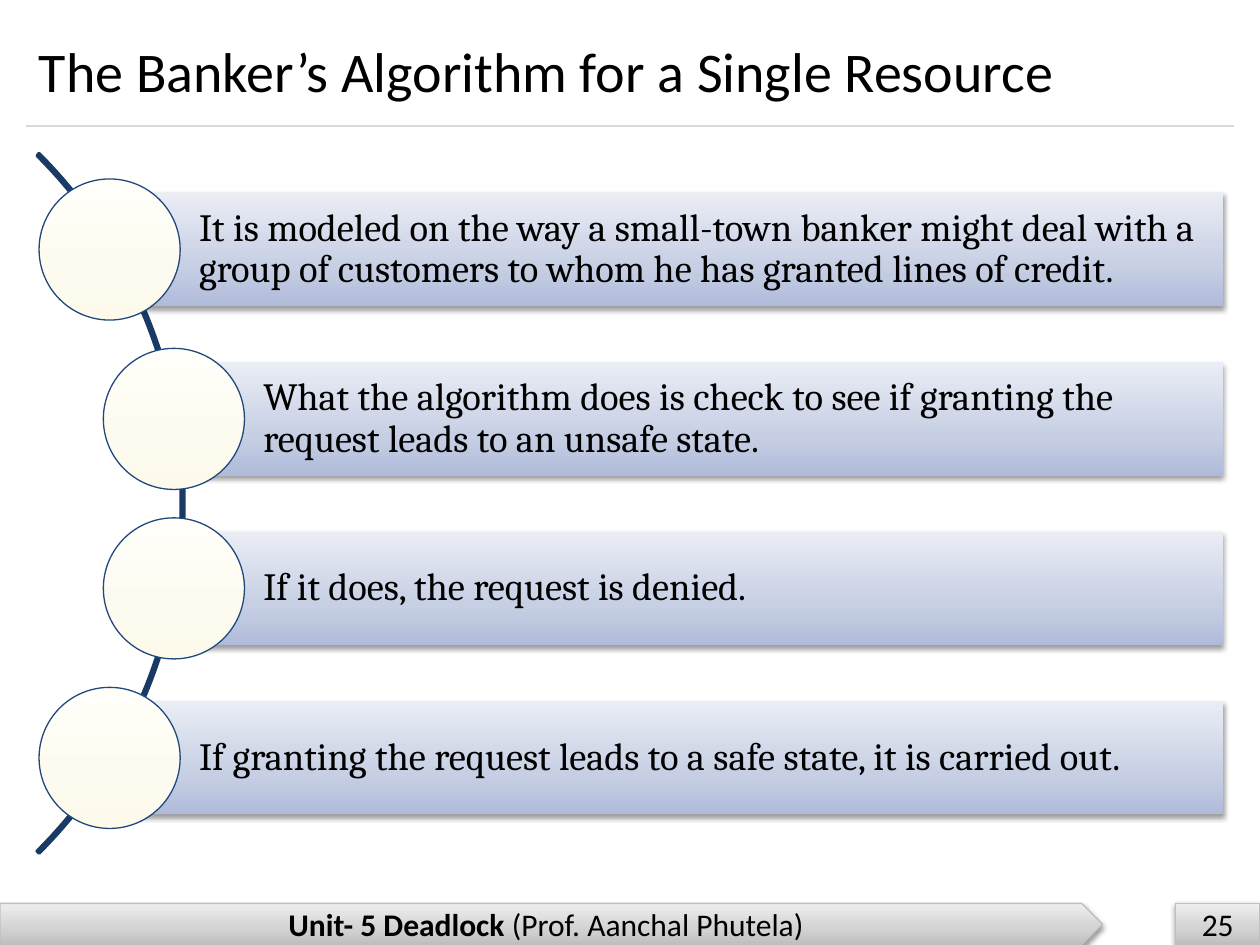
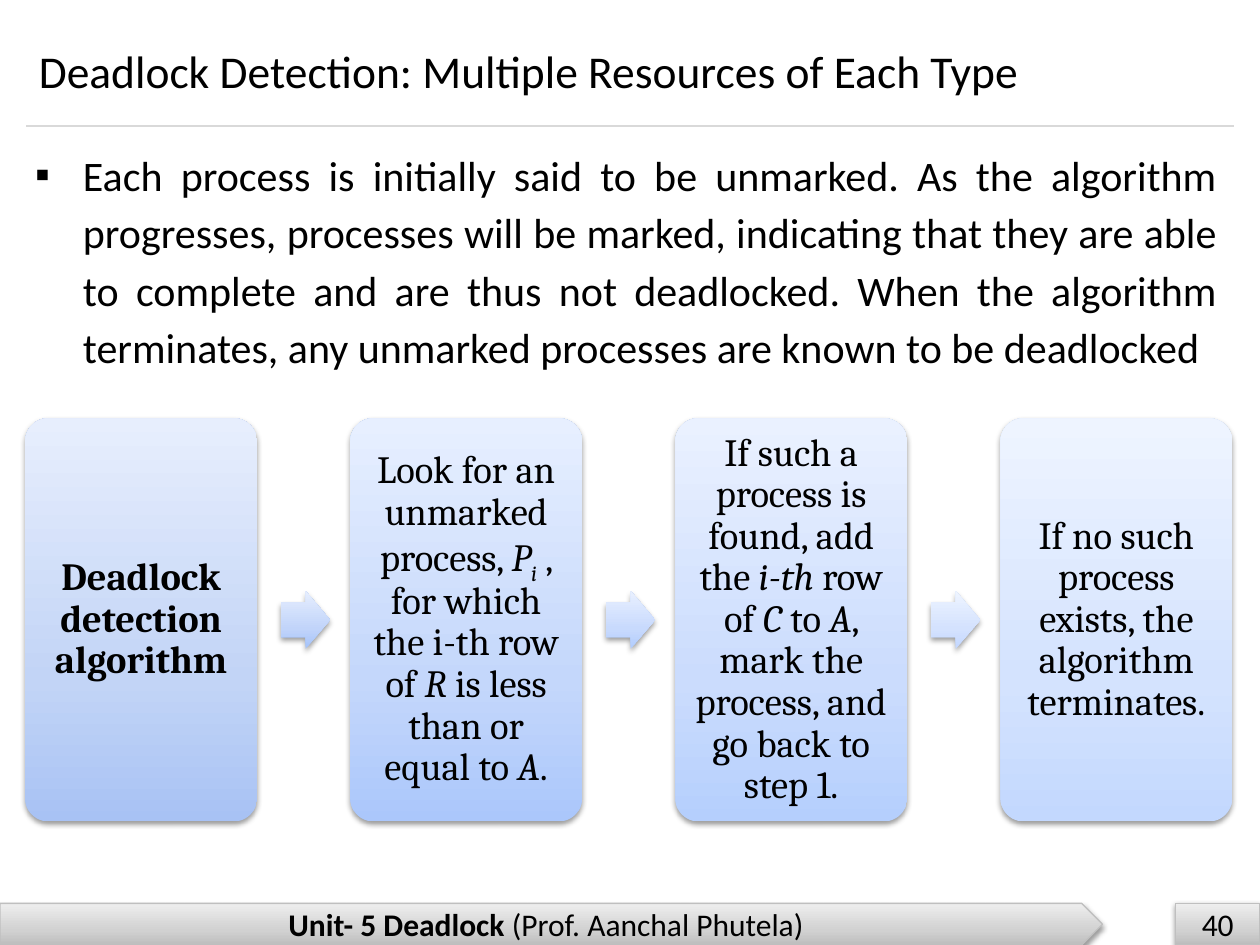
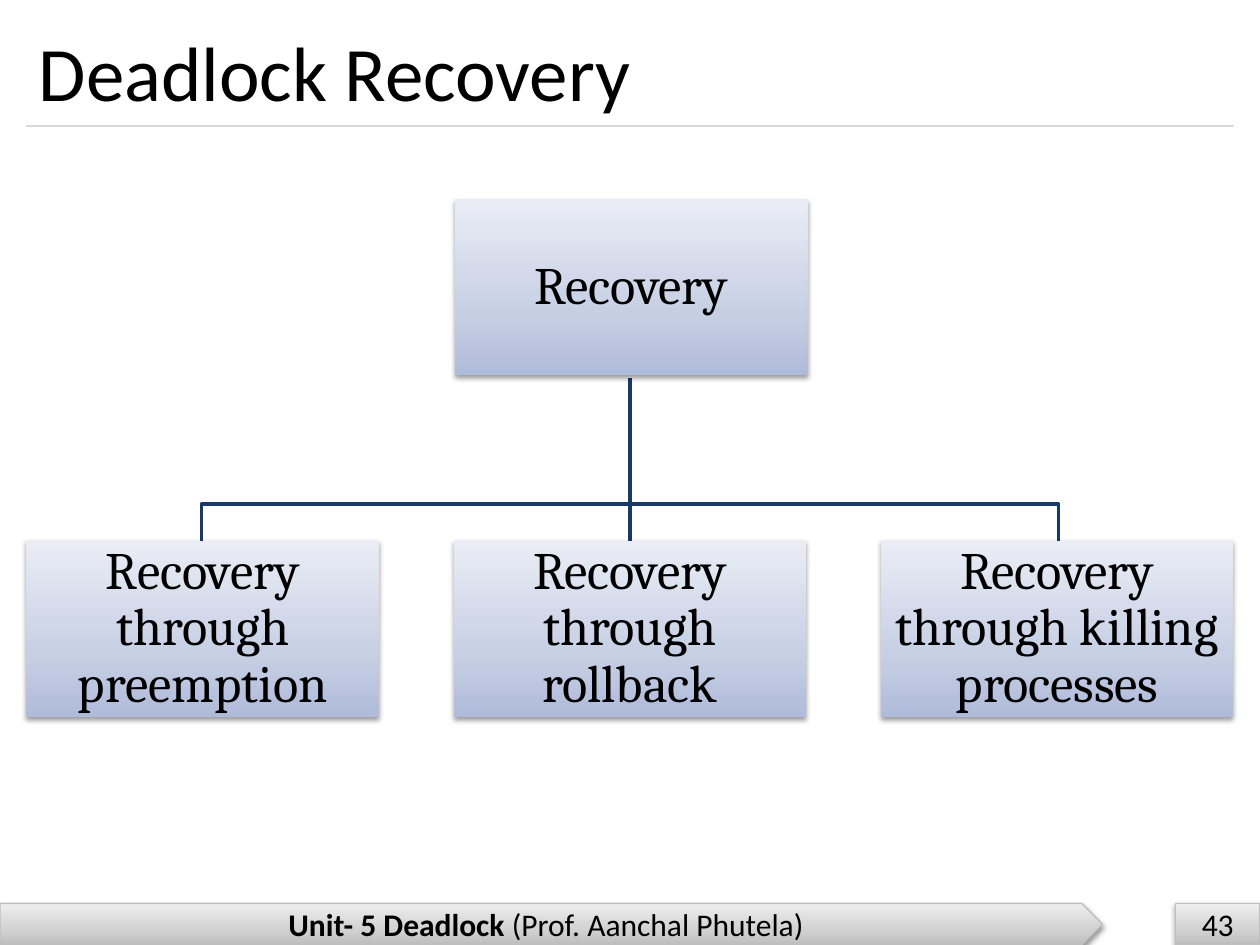
from lxml import etree
from pptx import Presentation, util as u
from pptx.dml.color import RGBColor
from pptx.enum import shapes, text
from pptx.oxml.ns import qn

# Grid of 100 columns by 75 rows; every length below counts cells
COLS, ROWS = 100, 75
CELL = u.Inches(0.1)
MARGIN = 2.1
CONTENT = COLS - 2 * MARGIN

COLOR = {"text": "000000", "rule": "D9D9D9", "band edge": "BFBFBF",
         "link": "193A64", "circle edge": "1F497D", "shadow": "000000"}
# Gradients run from the bottom (0 %) over 35 % to the top (100 %)
STOPS = (0, 35, 100)
GRADIENT = {"band": ("BDBDBD", "D1D1D1", "EEEEEE"),
            "panel": ("AFBBDA", "C7CFE4", "EAEDF5"),
            "circle": ("FDFAEB", "FDFBF0", "FFFEF9")}
KIND = shapes.MSO_SHAPE
ALIGN = text.PP_ALIGN


def draw(slide, kind, at, gradient=None, edge=None, width=0.75, shadow=True, adjust=()):
    shape = slide.shapes.add_shape(kind, *(round(n * CELL) for n in at))
    for i, value in enumerate(adjust):
        shape.adjustments[i] = value
    properties = shape._element.spPr
    if gradient:
        shape.fill.gradient()
        shape.fill.gradient_angle = 90
        stops = properties.find(".//" + qn("a:gsLst"))
        for stop in list(stops):
            stops.remove(stop)
        for position, tone in zip(STOPS, gradient):
            stop = etree.SubElement(stops, qn("a:gs"), pos=str(position * 1000))
            etree.SubElement(stop, qn("a:srgbClr"), val=tone)
    else:
        shape.fill.background()
    if edge:
        shape.line.color.rgb = RGBColor.from_string(COLOR[edge])
        shape.line.width = u.Pt(width)
    else:
        shape.line.fill.background()
    shape.shadow.inherit = False
    if shadow:
        outer = etree.SubElement(properties.find(qn("a:effectLst")), qn("a:outerShdw"),
                                 blurRad="40000", dist="20000", dir="5400000", rotWithShape="0")
        tone = etree.SubElement(outer, qn("a:srgbClr"), val=COLOR["shadow"])
        etree.SubElement(tone, qn("a:alpha"), val="38000")
    return shape


def write(shape, runs, size, font="Calibri", align=ALIGN.LEFT, spacing=None,
          insets=(1, 0.5, 1, 0.5), anchor=text.MSO_ANCHOR.MIDDLE, bullet=None, indent=3.8):
    """Runs are one string or (string, marks) pairs: b bold, i italic, s subscript."""
    frame = shape.text_frame
    frame.word_wrap = True
    frame.vertical_anchor = anchor
    (frame.margin_left, frame.margin_top,
     frame.margin_right, frame.margin_bottom) = (round(n * CELL) for n in insets)
    paragraph = frame.paragraphs[0]
    if bullet:
        layout = paragraph._p.get_or_add_pPr()
        layout.set("marL", str(round(indent * CELL)))
        layout.set("indent", str(-round(indent * CELL)))
        etree.SubElement(layout, qn("a:buFont"), typeface="Arial")
        etree.SubElement(layout, qn("a:buChar"), char=bullet)
    paragraph.alignment = align
    if spacing:
        paragraph.line_spacing = spacing
    for words, marks in ([(runs, "")] if isinstance(runs, str) else runs):
        run = paragraph.add_run()
        run.text = words
        run.font.name = font
        run.font.size = u.Pt(size)
        run.font.color.rgb = RGBColor.from_string(COLOR["text"])
        run.font.bold = "b" in marks
        run.font.italic = "i" in marks
        if "s" in marks:
            run.font._element.set("baseline", "-25000")


deck = Presentation()
deck.slide_width, deck.slide_height = COLS * CELL, ROWS * CELL

# What every slide shares: footer bands, rule and title
pages = []
for title, title_size, number in (
        ("The Banker’s Algorithm for a Single Resource", 32, 25),
        ("Deadlock Detection: Multiple Resources of Each Type", 26, 40),
        ("Deadlock Recovery", 44, 43)):
    page = deck.slides.add_slide(deck.slide_layouts[6])
    pages.append(page)
    footer = [("Unit- 5 Deadlock ", "b"), ("(Prof. Aanchal Phutela)", "")]
    for kind, left, width, label in ((KIND.PENTAGON, 0, 87.5, footer),
                                     (KIND.RECTANGLE, 93.3, 6.7, str(number))):
        band = draw(page, kind, (left, 71.7, width, 3.3), GRADIENT["band"], "band edge")
        write(band, label, 18, align=ALIGN.CENTER)
    rule = page.shapes.add_connector(
        shapes.MSO_CONNECTOR.STRAIGHT, round(MARGIN * CELL), 10 * CELL,
        round((COLS - MARGIN) * CELL), 10 * CELL)
    rule.line.color.rgb = RGBColor.from_string(COLOR["rule"])
    rule.line.width = u.Pt(0.75)
    etree.SubElement(rule._element.spPr, qn("a:effectLst"))
    heading = page.shapes.add_textbox(
        *(round(n * CELL) for n in (MARGIN, 1.2, CONTENT, 8.8)))
    write(heading, title, title_size)

banker, detection, recovery = pages

# Banker's algorithm: four bars with circles along an arc
draw(banker, KIND.BLOCK_ARC, (-63.9, 0.7, 78.5, 78.5), edge="link", width=2,
     shadow=False, adjust=(189, 27, 0.00275))
BAR_TOP, BAR_HEIGHT, BAR_RIGHT, BAR_PITCH, CIRCLE = 15.3, 9, 97.1, 13.45, 11.2
for row, (center, principle) in enumerate((
        (8.7, "It is modeled on the way a small-town banker might deal with a group of "
              "customers to whom he has granted lines of credit."),
        (13.8, "What the algorithm does is check to see if granting the request leads "
               "to an unsafe state."),
        (13.8, "If it does, the request is denied."),
        (8.7, "If granting the request leads to a safe state, it is carried out."))):
    top = BAR_TOP + row * BAR_PITCH
    bar = draw(banker, KIND.RECTANGLE, (center, top, BAR_RIGHT - center, BAR_HEIGHT),
               GRADIENT["panel"])
    write(bar, principle, 22, font="Cambria", spacing=0.9, insets=(7.1, 0.6, 0.6, 0.6))
    draw(banker, KIND.OVAL,
         (center - CIRCLE / 2, top + (BAR_HEIGHT - CIRCLE) / 2, CIRCLE, CIRCLE),
         GRADIENT["circle"], "circle edge", shadow=False)

# Detection: introduction above a row of steps
introduction = detection.shapes.add_textbox(
    *(round(n * CELL) for n in (1.8, 10.8, CONTENT, 58.3)))
write(introduction,
      "Each process is initially said to be unmarked. As the algorithm progresses, processes "
      "will be marked, indicating that they are able to complete and are thus not deadlocked. "
      "When the algorithm terminates, any unmarked processes are known to be deadlocked",
      24, align=ALIGN.JUSTIFY, spacing=1.14, anchor=text.MSO_ANCHOR.TOP, bullet="▪")

STEP_LEFT, STEP_TOP, STEP_WIDTH, STEP_HEIGHT, STEP_PITCH = 2, 33.2, 18.4, 32, 25.8
ARROW_WIDTH, ARROW_HEIGHT, ARROW_GAP = 3.9, 4.6, 1.9
steps = (
    (("A8C2F4", "C2D4F6", "E7EEFD"), [("Deadlock detection algorithm", "b")]),
    (("ABC7FB", "C4D7FB", "E7EFFF"),
     [("Look for an unmarked process, ", ""), ("P", "i"), ("i", "is"),
      (" , for which the i-th row of ", ""), ("R", "i"),
      (" is less than or equal to ", ""), ("A", "i"), (".", "")]),
    (("B5CFFD", "CBDCFD", "EAF1FF"),
     [("If such a process is found, add the ", ""), ("i-th", "i"), (" row of ", ""),
      ("C", "i"), (" to ", ""), ("A", "i"),
      (", mark the process, and go back to step 1.", "")]),
    (("C3D8FE", "D4E3FE", "EEF4FF"), "If no such process exists, the algorithm terminates."))
arrow_tones = (("A5C3FA", "C1D4FA", "E6EEFE"), ("B1CCFD", "C8DAFD", "E9F0FF"),
               ("C3D7FF", "D4E2FE", "EEF4FF"))
for column, (tones, wording) in enumerate(steps):
    left = STEP_LEFT + column * STEP_PITCH
    if column:
        arrow_left = left - STEP_PITCH + STEP_WIDTH + ARROW_GAP
        draw(detection, KIND.RIGHT_ARROW,
             (arrow_left, STEP_TOP + (STEP_HEIGHT - ARROW_HEIGHT) / 2,
              ARROW_WIDTH, ARROW_HEIGHT),
             arrow_tones[column - 1], adjust=(0.6, 0.5))
    step = draw(detection, KIND.ROUNDED_RECTANGLE, (left, STEP_TOP, STEP_WIDTH, STEP_HEIGHT),
                tones, adjust=(0.1,))
    write(step, wording, 22, font="Cambria", align=ALIGN.CENTER, spacing=0.9, insets=(0.9,) * 4)

# Recovery: a root and its three branches
NODE_WIDTH, NODE_HEIGHT, NODE_PITCH = 28, 14, 33.9
ROOT_LEFT, ROOT_TOP, BRANCH_TOP, FORK = 36.1, 15.8, 42.9, 40
root_center = ROOT_LEFT + NODE_WIDTH / 2
nodes = [(ROOT_LEFT, ROOT_TOP, "Recovery")]
for column, way in enumerate(("preemption", "rollback", "killing processes")):
    left = MARGIN + column * NODE_PITCH
    nodes.append((left, BRANCH_TOP, "Recovery through " + way))
    center = left + NODE_WIDTH / 2
    trunk = recovery.shapes.build_freeform(root_center, ROOT_TOP + NODE_HEIGHT, scale=CELL)
    trunk.add_line_segments([(root_center, FORK), (center, FORK), (center, BRANCH_TOP)],
                            close=False)
    branch = trunk.convert_to_shape()
    branch.fill.background()
    branch.line.color.rgb = RGBColor.from_string(COLOR["link"])
    branch.line.width = u.Pt(2)
    branch.shadow.inherit = False
for left, top, wording in nodes:
    node = draw(recovery, KIND.RECTANGLE, (left, top, NODE_WIDTH, NODE_HEIGHT),
                GRADIENT["panel"])
    write(node, wording, 30, font="Cambria", align=ALIGN.CENTER, spacing=0.9, insets=(0.2,) * 4)

deck.save("out.pptx")
